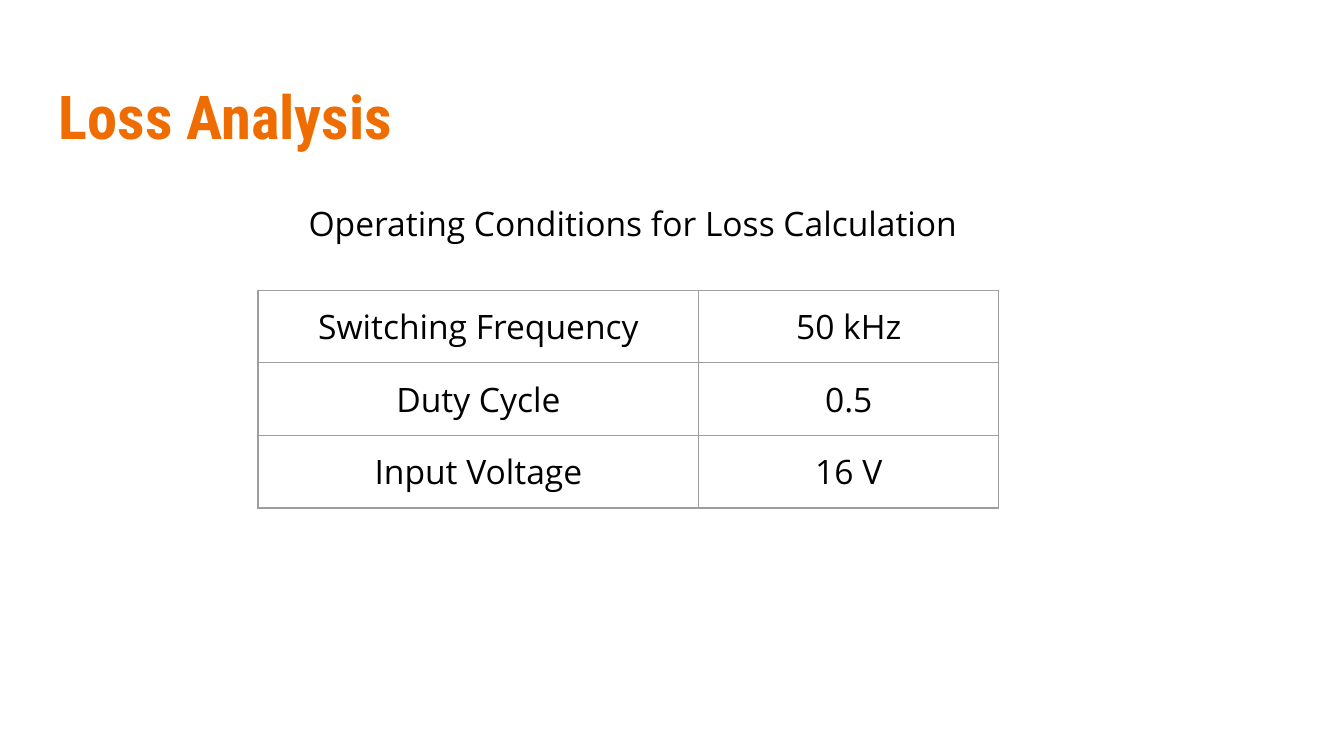
from pptx import Presentation
from pptx.dml.color import RGBColor
from pptx.enum import text
from pptx.oxml import parse_xml
from pptx.oxml.ns import nsdecls
from pptx.util import Inches, Pt

ORANGE = RGBColor(0xEF, 0x6C, 0x00)
BLACK = RGBColor(0x00, 0x00, 0x00)
GRAY = RGBColor(0x9E, 0x9E, 0x9E)

INSET = Inches(0.1)
CONDITIONS = [
    ("Switching Frequency", "50 kHz"),
    ("Duty Cycle", "0.5"),
    ("Input Voltage", "16 V"),
]
COLUMN_WIDTHS = (3.28, 2.23)
ROW_HEIGHT = 0.54


def style_paragraph(paragraph, font_name, size, color, align, bold=False):
    paragraph.alignment = align
    font = paragraph.font
    font.name = font_name
    font.size = Pt(size)
    font.bold = bold
    font.color.rgb = color


def style_body(paragraph):
    style_paragraph(paragraph, "Open Sans", 18, BLACK, text.PP_ALIGN.CENTER)


def set_insets(holder):
    """Give a text frame or a table cell equal margins."""
    holder.margin_left = holder.margin_right = INSET
    holder.margin_top = holder.margin_bottom = INSET


def add_text(slide, left, top, width, height, wording):
    box = slide.shapes.add_textbox(
        Inches(left), Inches(top), Inches(width), Inches(height))
    frame = box.text_frame
    frame.word_wrap = True
    set_insets(frame)
    frame.text = wording
    return frame


def set_borders(cell, color, width):
    properties = cell._tc.get_or_add_tcPr()
    for position, side in enumerate(("lnL", "lnR", "lnT", "lnB")):
        # Borders must come before the fill
        properties.insert(position, parse_xml(
            f'<a:{side} {nsdecls("a")} w="{Pt(width)}"><a:solidFill>'
            f'<a:srgbClr val="{color}"/></a:solidFill></a:{side}>'))


def add_conditions_table(slide, left, top):
    frame = slide.shapes.add_table(
        len(CONDITIONS), len(COLUMN_WIDTHS), Inches(left), Inches(top),
        Inches(sum(COLUMN_WIDTHS)), Inches(ROW_HEIGHT * len(CONDITIONS)))
    table = frame.table
    table.first_row = table.horz_banding = False
    for column, width in zip(table.columns, COLUMN_WIDTHS):
        column.width = Inches(width)
    for row, values in zip(table.rows, CONDITIONS):
        row.height = Inches(ROW_HEIGHT)
        for cell, value in zip(row.cells, values):
            cell.text = value
            set_insets(cell)
            cell.fill.background()
            set_borders(cell, GRAY, 0.75)
            style_body(cell.text_frame.paragraphs[0])


def main():
    presentation = Presentation()
    # Widescreen 16:9
    presentation.slide_width = Inches(10)
    presentation.slide_height = Inches(10 * 9 / 16)
    slide = presentation.slides.add_slide(presentation.slide_layouts[6])

    # Title
    title = add_text(slide, 0.34, 0.49, 9.32, 0.77, "Loss Analysis")
    title.vertical_anchor = text.MSO_ANCHOR.TOP
    style_paragraph(title.paragraphs[0], "Roboto Condensed", 32.4, ORANGE,
                    text.PP_ALIGN.LEFT, bold=True)

    # Operating conditions
    add_conditions_table(slide, 1.92, 2.16)

    # Table caption
    caption = add_text(slide, 1.14, 1.41, 7.14, 0.5,
                       "Operating Conditions for Loss Calculation")
    style_body(caption.paragraphs[0])

    presentation.save("out.pptx")


if __name__ == "__main__":
    main()
